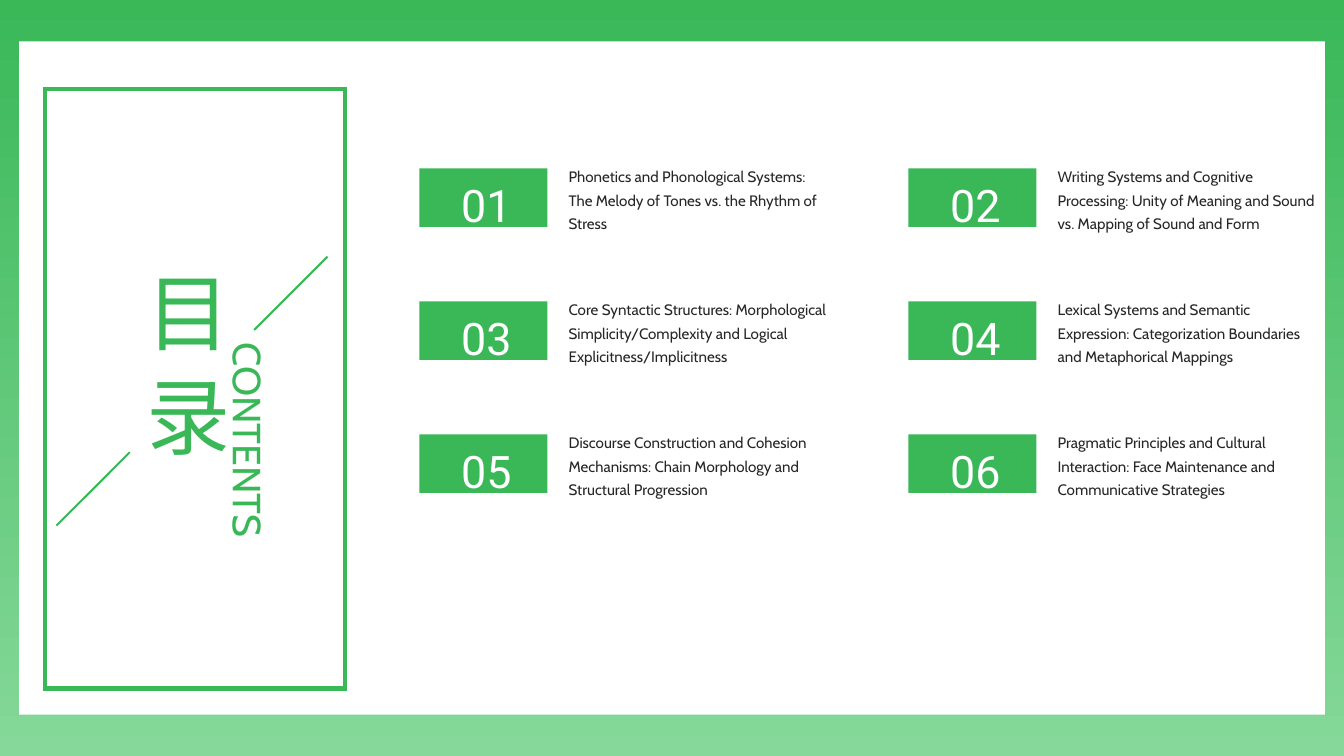
from lxml.etree import SubElement
from pptx import Presentation
from pptx.dml.color import RGBColor
from pptx.enum.shapes import MSO_SHAPE as Shape
from pptx.enum.text import MSO_ANCHOR as Anchor, PP_ALIGN as Align
from pptx.oxml.ns import qn
from pptx.util import Inches, Pt

TOPICS = [
    "Phonetics and Phonological Systems: The Melody of Tones vs. the Rhythm of Stress",
    "Writing Systems and Cognitive Processing: Unity of Meaning and Sound vs. Mapping of Sound and Form",
    "Core Syntactic Structures: Morphological Simplicity/Complexity and Logical Explicitness/Implicitness",
    "Lexical Systems and Semantic Expression: Categorization Boundaries and Metaphorical Mappings",
    "Discourse Construction and Cohesion Mechanisms: Chain Morphology and Structural Progression",
    "Pragmatic Principles and Cultural Interaction: Face Maintenance and Communicative Strategies",
]
TITLES = [
    ("目 录", (1.47, 2.68, 1.04, 1.93), 60, Align.CENTER),
    ("CONTENTS", (2.3, 3.4, 0.47, 2.17), 28, Align.JUSTIFY),
]
SLASHES = [(2.37, 2.9), (0.41, 4.84)]

GREEN = RGBColor(0x3A, 0xB8, 0x58)
LIGHT_GREEN = RGBColor(0x85, 0xD8, 0x99)
WHITE = RGBColor(0xFF, 0xFF, 0xFF)
INK = RGBColor(0x26, 0x26, 0x26)

WIDTH, HEIGHT = 13.33, 7.5
COLUMNS = 2
GRID_LEFT, GRID_TOP = 4.16, 1.67
COLUMN_STEP, ROW_STEP = 4.85, 1.32
TOPIC_WIDTH = 2.6


def add_box(slide, place, fill=None):
    shape = slide.shapes.add_shape(Shape.RECTANGLE, *map(Inches, place))
    shape.shadow.inherit = False
    shape.line.fill.background()
    if fill is None:
        shape.fill.background()
    else:
        shape.fill.solid()
        shape.fill.fore_color.rgb = fill
    return shape


def add_label(slide, text, place, size, color, align=None, font="Cabin", vertical=False):
    frame = slide.shapes.add_textbox(*map(Inches, place)).text_frame
    frame.word_wrap = True
    frame.vertical_anchor = Anchor.MIDDLE
    frame.margin_left = frame.margin_right = frame.margin_top = frame.margin_bottom = 0
    if vertical:
        frame._txBody.bodyPr.set("vert", "eaVert")
    paragraph = frame.paragraphs[0]
    paragraph.text = text
    paragraph.alignment = align
    paragraph.line_spacing = 1.3
    paragraph.font.name = font
    paragraph.font.size = Pt(size)
    paragraph.font.color.rgb = color


def add_backdrop(slide):
    backdrop = add_box(slide, (0, 0, WIDTH, HEIGHT))
    backdrop.fill.gradient()
    backdrop.fill.gradient_angle = 90
    for stop, color in zip(backdrop.fill.gradient_stops, (LIGHT_GREEN, GREEN)):
        stop.color.rgb = color
    add_box(slide, (0.19, 0.41, 12.95, 6.68), WHITE)


def add_title_panel(slide):
    panel = add_box(slide, (0.45, 0.88, 2.97, 5.95))
    panel.line.color.rgb = GREEN
    panel.line.width = Pt(3)
    SubElement(panel.line._get_or_add_ln(), qn("a:miter"), lim="800000")
    for text, place, size, align in TITLES:
        add_label(slide, text, place, size, GREEN, align, vertical=True)
    for left, top in SLASHES:
        add_box(slide, (left, top, 1.03, 0.02), GREEN).rotation = 315


def add_topics(slide):
    for index, topic in enumerate(TOPICS):
        row, column = divmod(index, COLUMNS)
        left = GRID_LEFT + column * COLUMN_STEP
        top = GRID_TOP + row * ROW_STEP
        add_label(slide, topic, (left + 1.48, top - 0.14, TOPIC_WIDTH, 0.86), 10.8, INK)
        add_box(slide, (left, top, 1.27, 0.58), GREEN)
        add_label(slide, f"{index + 1:02}", (left - 0.05, top - 0.07, 1.43, 0.7),
                  32, WHITE, Align.CENTER, "Roboto")


def main():
    """Build the contents slide with its title panel and six topics."""
    presentation = Presentation()
    presentation.slide_width = Inches(WIDTH)
    presentation.slide_height = Inches(HEIGHT)
    slide = presentation.slides.add_slide(presentation.slide_layouts[6])
    add_backdrop(slide)
    add_title_panel(slide)
    add_topics(slide)
    presentation.save("out.pptx")


if __name__ == "__main__":
    main()
